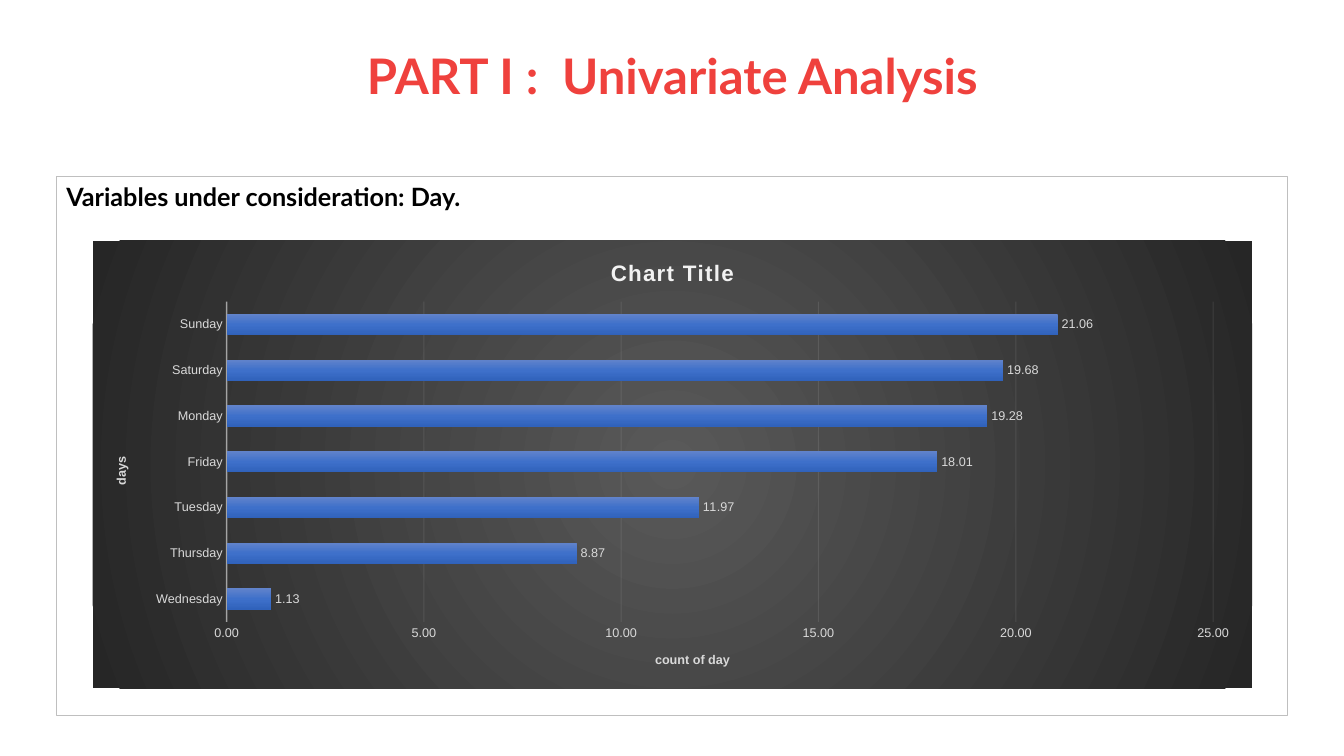
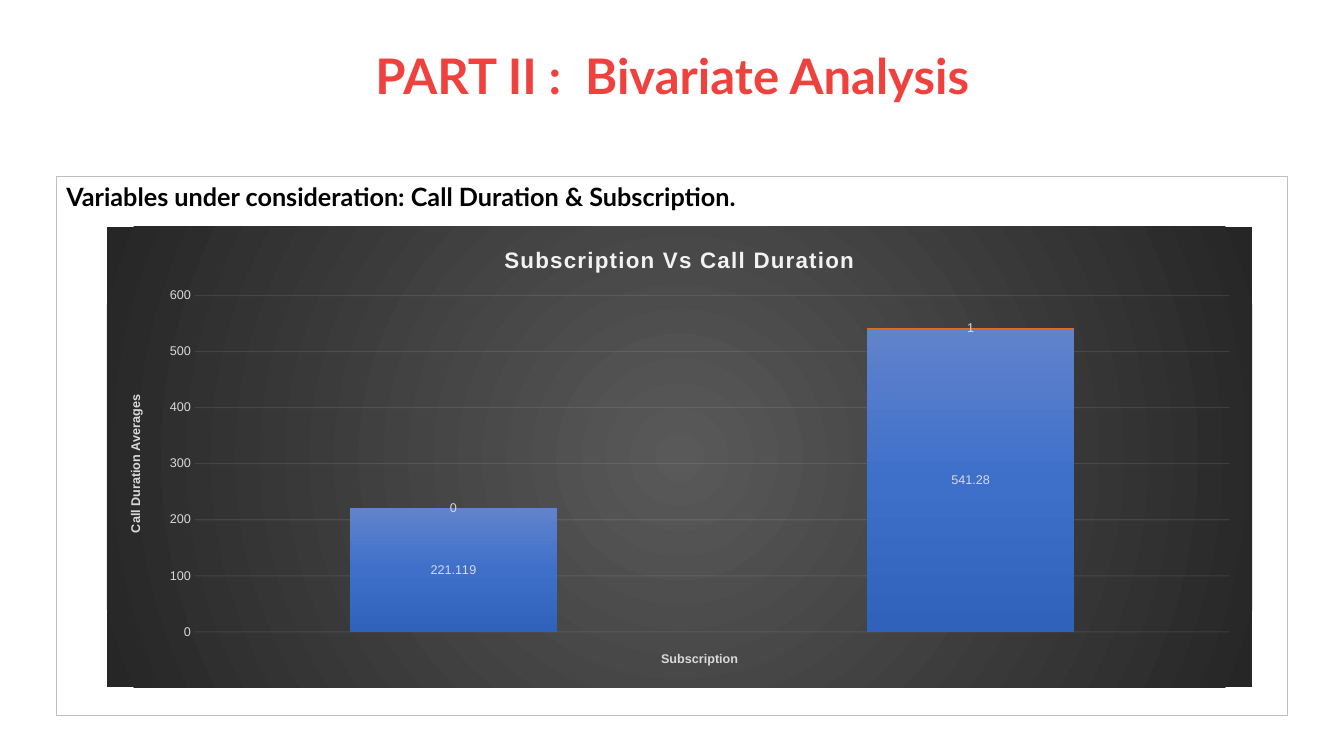
from lxml.etree import SubElement
from pptx import Presentation
from pptx.chart.data import CategoryChartData
from pptx.dml.color import RGBColor
from pptx.enum.chart import XL_CHART_TYPE, XL_LABEL_POSITION, XL_TICK_MARK
from pptx.enum.shapes import MSO_SHAPE
from pptx.enum.text import MSO_ANCHOR, PP_ALIGN
from pptx.oxml.ns import qn
from pptx.util import Inches, Pt

SLIDE_WIDTH, SLIDE_HEIGHT = Inches(13.33), Inches(7.5)
COLORS = {
    "title": "EF413D", "text": "000000", "frame": "BFBFBF",
    "chart_title": "F2F2F2", "chart_text": "D9D9D9", "chart_line": "F2F2F2",
}
BACKDROP = ["595959", "262626"]
SERIES_GRADIENTS = [["6183CB", "3E70CA", "3062BB"], ["F18C57", "F67B28", "E56C19"]]

# Boxes are left, top, width and height in percent of the slide.
TITLE_BOX = (6.9, 5.33, 86.27, 19.33)
FRAME_BOX = (4.2, 23.33, 91.6, 71.33)

TITLE_FONT = {"name": "Lato", "size": Pt(35), "bold": True}
HEADING_FONT = {"name": "Lato", "size": Pt(18), "bold": True}
CHART_TITLE_FONT = {"name": "Arial", "size": Pt(16), "bold": True}
AXIS_TITLE_FONT = {"name": "Arial", "size": Pt(9), "bold": True}
LABEL_FONT = {"name": "Arial", "size": Pt(9), "bold": False}

PAGES = [
    {
        "title": "PART I :  Univariate Analysis",
        "heading": "Variables under consideration: Day.",
        "box": (6.9, 31.87, 86.27, 59.2),
        "kind": XL_CHART_TYPE.BAR_CLUSTERED,
        "chart_title": "Chart Title",
        "category_title": "days",
        "value_title": "count of day",
        "categories": ["Wednesday", "Thursday", "Tuesday", "Friday",
                       "Monday", "Saturday", "Sunday"],
        "series": [(1.13, 8.87, 11.97, 18.01, 19.28, 19.68, 21.06)],
        "scale": {"minimum_scale": 0, "maximum_scale": 25, "major_unit": 5},
        "spacing": {"gap_width": 115, "overlap": -20},
        "number_format": "0.00",
        "label_position": XL_LABEL_POSITION.OUTSIDE_END,
        "show_categories": True,
    },
    {
        "title": "PART II :  Bivariate Analysis",
        "heading": "Variables under consideration: Call Duration & Subscription.",
        "box": (7.95, 30, 85.22, 60.93),
        "kind": XL_CHART_TYPE.COLUMN_STACKED,
        "chart_title": "Subscription Vs Call Duration",
        "category_title": "Subscription",
        "value_title": "Call Duration Averages",
        "categories": ["1", "2"],
        "series": [(221.119, 541.28), (0, 1)],
        "scale": {"minimum_scale": 0, "maximum_scale": 600, "major_unit": 100},
        "spacing": {"gap_width": 150, "overlap": 100},
        "number_format": "General",
        "label_position": XL_LABEL_POSITION.CENTER,
        "show_categories": False,
    },
]


def set_all(target, values):
    for name, value in values.items():
        setattr(target, name, value)


def set_font(font, values, color):
    set_all(font, values)
    font.color.rgb = RGBColor.from_string(COLORS[color])


def set_line(line, color, width):
    line.color.rgb = RGBColor.from_string(COLORS[color])
    line.width = Pt(width)


def set_alpha(parent, percent):
    for color in parent.iter(qn("a:srgbClr")):
        SubElement(color, qn("a:alpha"), val=str(percent * 1000))


def write(frame, text, font, color):
    para = frame.paragraphs[0]
    span = para.add_run()
    span.text = text
    set_font(span.font, font, color)
    return para


def place(box):
    """Turn percentages of the slide into lengths."""
    sides = (SLIDE_WIDTH, SLIDE_HEIGHT) * 2
    return [round(side * share / 100) for side, share in zip(sides, box)]


def add_gradient(parent, colors, radial=False):
    gradient = SubElement(parent, qn("a:gradFill"), rotWithShape="1")
    stops = SubElement(gradient, qn("a:gsLst"))
    for index, color in enumerate(colors):
        position = index * 100000 // (len(colors) - 1)
        stop = SubElement(stops, qn("a:gs"), pos=str(position))
        SubElement(stop, qn("a:srgbClr"), val=color)
    if radial:
        shade = SubElement(gradient, qn("a:path"), path="circle")
        SubElement(shade, qn("a:fillToRect"), l="50000", t="50000", r="50000", b="50000")
    else:
        SubElement(gradient, qn("a:lin"), ang="5400000", scaled="0")


def add_title(page, text, box):
    title = page.shapes.title
    set_all(title, dict(zip(("left", "top", "width", "height"), place(box))))
    frame = title.text_frame
    set_all(frame, {"word_wrap": True, "vertical_anchor": MSO_ANCHOR.TOP,
                    "margin_top": Inches(0.12)})
    para = write(frame, text, TITLE_FONT, "title")
    set_all(para, {"alignment": PP_ALIGN.CENTER, "line_spacing": 0.9})


def add_frame(page, heading, box):
    outline = page.shapes.add_shape(MSO_SHAPE.RECTANGLE, *place(box))
    outline.shadow.inherit = False
    outline.fill.background()
    set_line(outline.line, "frame", 0.75)
    frame = outline.text_frame
    set_all(frame, {"word_wrap": True, "vertical_anchor": MSO_ANCHOR.TOP})
    write(frame, heading, HEADING_FONT, "text").alignment = PP_ALIGN.LEFT


def format_axes(chart, content):
    category_axis, value_axis = chart.category_axis, chart.value_axis
    titles = content["category_title"], content["value_title"]
    for axis, title in zip((category_axis, value_axis), titles):
        set_all(axis, {"major_tick_mark": XL_TICK_MARK.NONE,
                       "minor_tick_mark": XL_TICK_MARK.NONE})
        set_font(axis.tick_labels.font, LABEL_FONT, "chart_text")
        write(axis.axis_title.text_frame, title, AXIS_TITLE_FONT, "chart_text")

    category_axis.has_major_gridlines = False
    category_axis.visible = content["show_categories"]
    set_line(category_axis.format.line, "chart_line", 1)
    set_alpha(chart.element.find(f".//{qn('c:catAx')}/{qn('c:spPr')}"), 54)

    set_all(value_axis, content["scale"])
    set_all(value_axis.tick_labels, {"number_format": content["number_format"],
                                     "number_format_is_linked": False})
    value_axis.format.line.fill.background()
    set_line(value_axis.major_gridlines.format.line, "chart_line", 0.75)
    set_alpha(chart.element.find(f".//{qn('c:majorGridlines')}"), 10)


def format_series(chart, content):
    plot = chart.plots[0]
    set_all(plot, {"vary_by_categories": False, **content["spacing"]})
    for series in plot.series:
        series.invert_if_negative = False
        labels = series.data_labels
        set_all(labels, {"show_value": True, "position": content["label_position"],
                         "number_format": content["number_format"],
                         "number_format_is_linked": False})
        set_font(labels.font, LABEL_FONT, "chart_text")
    for series, colors in zip(chart.element.iter(qn("c:ser")), SERIES_GRADIENTS):
        add_gradient(series.get_or_add_spPr(), colors)


def add_dark_chart(page, content, box):
    data = CategoryChartData()
    data.categories = content["categories"]
    for number, values in enumerate(content["series"], 1):
        data.add_series(f"Series {number}", values)
    chart = page.shapes.add_chart(content["kind"], *place(box), data).chart
    chart.has_legend = False
    set_font(chart.font, {"name": "Arial", "size": Pt(10)}, "text")

    write(chart.chart_title.text_frame, content["chart_title"],
          CHART_TITLE_FONT, "chart_title")
    chart.chart_title.include_in_layout = False
    body = chart.element.find(qn("c:chart"))
    for properties in body.find(qn("c:title")).iter(qn("a:rPr")):
        properties.set("spc", "100")

    backdrop = SubElement(chart.element, qn("c:spPr"))
    body.addnext(backdrop)
    add_gradient(backdrop, BACKDROP, radial=True)
    SubElement(SubElement(backdrop, qn("a:ln")), qn("a:noFill"))

    format_axes(chart, content)
    format_series(chart, content)


def add_analysis_page(deck, content):
    page = deck.slides.add_slide(deck.slide_layouts.get_by_name("Title Only"))
    add_title(page, content["title"], TITLE_BOX)
    add_frame(page, content["heading"], FRAME_BOX)
    add_dark_chart(page, content, content["box"])


def main():
    deck = Presentation()
    set_all(deck, {"slide_width": SLIDE_WIDTH, "slide_height": SLIDE_HEIGHT})
    for content in PAGES:
        add_analysis_page(deck, content)
    deck.save("out.pptx")


if __name__ == "__main__":
    main()
